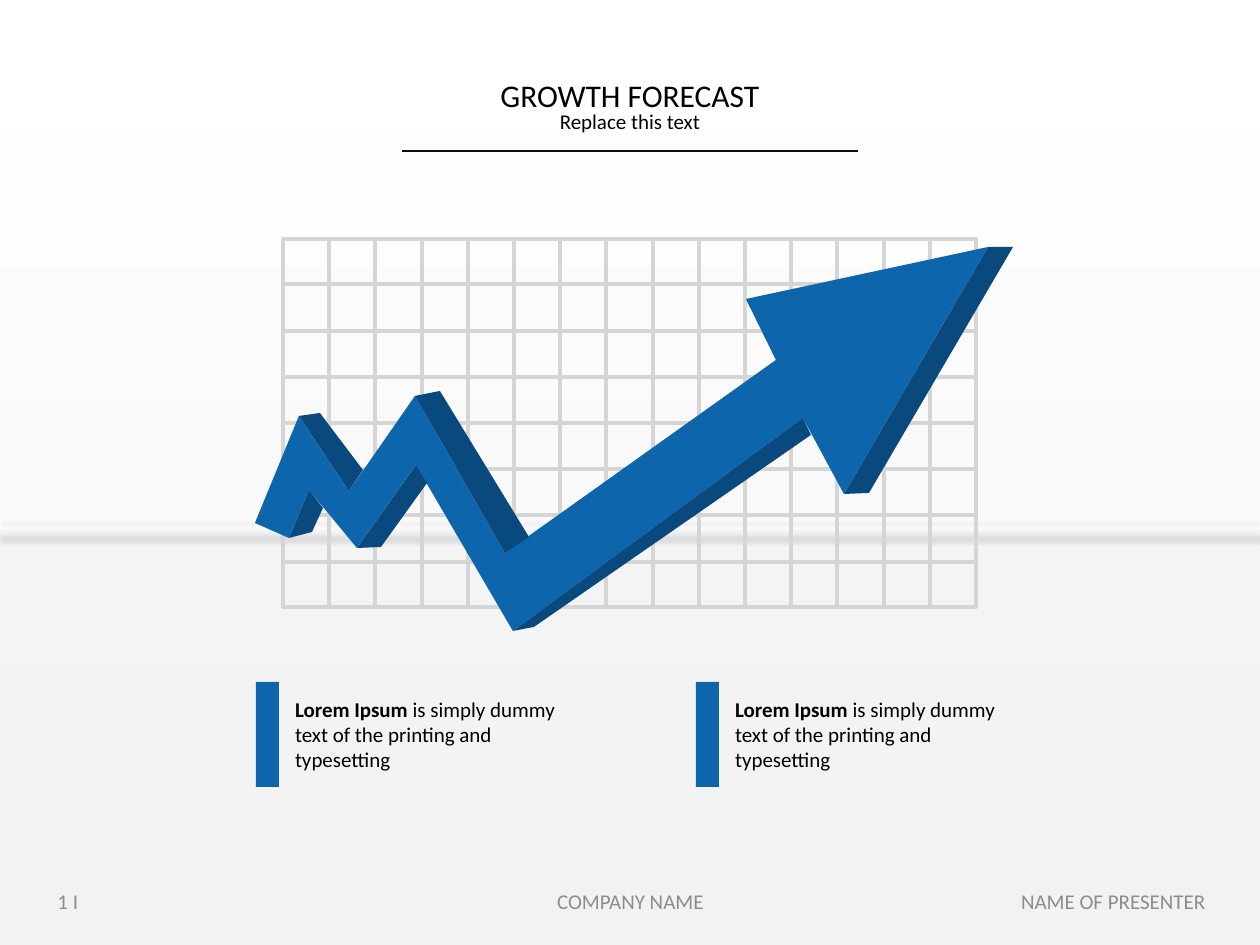
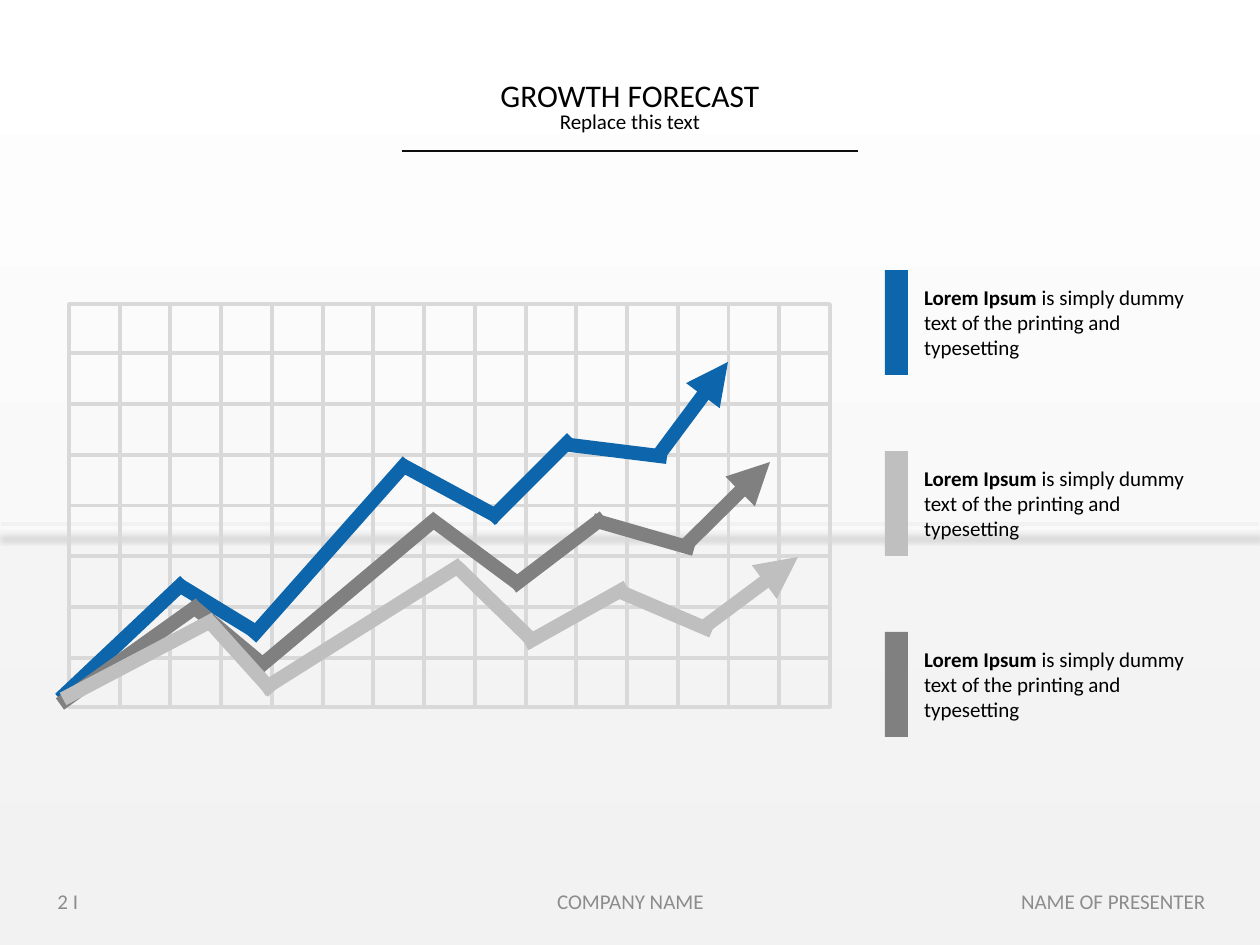
from lxml import etree
from pptx import Presentation
from pptx.dml.color import RGBColor
from pptx.enum.shapes import MSO_CONNECTOR as Connector, MSO_SHAPE as Preset
from pptx.enum.text import MSO_ANCHOR as Anchor, MSO_AUTO_SIZE as AutoSize, PP_ALIGN as Align
from pptx.oxml.ns import qn
from pptx.util import Emu, Pt

SCALE = 914400 / 126  # EMU in one px
SLIDE_WIDTH, SLIDE_HEIGHT = 1260, 945
FONT = "Calibri"
COLORS = {
    "white": "FFFFFF",
    "floor": "F2F2F2",
    "text": "000000",
    "rule": "0D0D0D",
    "footer": "8C8C8C",
    "grid_dark": "D5D5D5",
    "grid_light": "D9D9D9",
    "blue": "0D65AC",
    "navy": "09497D",
    "silver": "BFBFBF",
    "gray": "808080",
}
GRID_COLUMNS, GRID_ROWS = 15, 8

# Front of the zigzag arrow, in px from the corner of its box
ARROW_FACE = [
    (0, 276), (44, 169), (94, 244), (160, 149), (250, 306),
    (521, 113), (491, 52), (733, 0), (589, 247), (548, 171),
    (258, 384), (161, 218), (102, 301), (54, 243), (34, 291),
]
# Sides of the arrow: two corners of the face and the two points behind them
ARROW_SIDES = [
    (1, 2, (65, 166), (108, 223)),
    (3, 4, (185, 144), (274, 290)),
    (7, 8, (758, 0), (614, 246)),
    (10, 9, (279, 380), (556, 188)),
    (12, 11, (126, 300), (172, 236)),
    (14, 13, (57, 285), (68, 261)),
]
# Trend strokes (x1, y1, x2, y2), in px from the corner of the grid
TRENDS = {
    "blue": [
        (-9, 395, 116, 277), (110, 281, 192, 331), (182, 334, 339, 157),
        (333, 161, 431, 214), (421, 216, 503, 134), (493, 140, 598, 153),
        (589, 152, 659, 58),
    ],
    "gray": [
        (-9, 400, 131, 300), (125, 303, 198, 364), (188, 365, 369, 213),
        (362, 215, 451, 281), (443, 283, 535, 213), (524, 216, 625, 245),
        (616, 242, 701, 158),
    ],
    "silver": [
        (-6, 395, 146, 315), (140, 317, 204, 388), (193, 386, 393, 260),
        (387, 262, 467, 340), (456, 340, 558, 283), (547, 286, 643, 327),
        (635, 323, 729, 253),
    ],
}


def px(length):
    return Emu(round(length * SCALE))


def rgb(name):
    return RGBColor.from_string(COLORS[name])


def add_xml(parent, tag, **attributes):
    return etree.SubElement(parent, qn(tag), attributes)


def paint(shape, color):
    shape.shadow.inherit = False
    shape.fill.solid()
    shape.fill.fore_color.rgb = rgb(color)
    shape.line.fill.background()


def add_block(shapes, left, top, width, height, color):
    block = shapes.add_shape(Preset.RECTANGLE, px(left), px(top), px(width), px(height))
    paint(block, color)
    return block


def add_line(shapes, start_x, start_y, end_x, end_y, color, points):
    """Draw a straight line and return it with its empty effect list."""
    line = shapes.add_connector(
        Connector.STRAIGHT, px(start_x), px(start_y), px(end_x), px(end_y))
    line.line.color.rgb = rgb(color)
    line.line.width = Pt(points)
    effects = add_xml(line._element.spPr, "a:effectLst")
    return line, effects


def add_polygon(shapes, left, top, points, color):
    builder = shapes.build_freeform(*points[0], scale=SCALE)
    builder.add_line_segments(points[1:], close=True)
    paint(builder.convert_to_shape(px(left), px(top)), color)


def add_text_box(slide, left, top, width, height):
    frame = slide.shapes.add_textbox(px(left), px(top), px(width), px(height)).text_frame
    frame.word_wrap = True
    return frame


def style(paragraph, size, color="text", align=Align.LEFT):
    paragraph.alignment = align
    paragraph.font.name = FONT
    paragraph.font.size = Pt(size)
    paragraph.font.color.rgb = rgb(color)


def set_background(presentation):
    """Fade from white at the top to light gray at the bottom."""
    fill = presentation.slide_master.background.fill
    fill.gradient()
    fill.gradient_angle = 90
    for stop, color, position in zip(fill.gradient_stops, ("floor", "white"), (0.01, 1)):
        stop.color.rgb = rgb(color)
        stop.position = position


def add_floor(slide):
    horizon = 524
    floor = add_block(slide.shapes, 0, horizon + 6, SLIDE_WIDTH,
                      SLIDE_HEIGHT - horizon - 6, "floor")
    fill_color = floor._element.spPr.find(qn("a:solidFill"))[0]
    add_xml(fill_color, "a:alpha", val="49000")

    # Horizon line with a soft shadow below it
    _, effects = add_line(slide.shapes, 1, horizon, SLIDE_WIDTH - 1, horizon, "floor", 2)
    shadow = add_xml(effects, "a:outerShdw", blurRad="39370", dist="101600",
                     dir="5400000", rotWithShape="0")
    shadow_color = add_xml(shadow, "a:srgbClr", val=COLORS["text"])
    add_xml(shadow_color, "a:alpha", val="16000")


def add_title(slide, title, subtitle):
    frame = add_text_box(slide, 428, 77, 404, 63)
    frame.auto_size = AutoSize.SHAPE_TO_FIT_TEXT
    frame.text = f"{title}\n{subtitle}"
    for paragraph, size in zip(frame.paragraphs, (18, 12)):
        style(paragraph, size, align=Align.CENTER)
        paragraph.line_spacing = 0.8
    add_line(slide.shapes, 402, 151, 858, 151, "rule", 1)


def add_footer(slide, number):
    parts = [
        (45, 294, f"{number} I", Align.LEFT),
        (431, 399, "COMPANY NAME", Align.CENTER),
        (924, 294, "NAME OF PRESENTER", Align.RIGHT),
    ]
    for left, width, text, align in parts:
        frame = add_text_box(slide, left, 876, width, 50)
        frame.vertical_anchor = Anchor.MIDDLE
        frame.text = text
        style(frame.paragraphs[0], 12, "footer", align)


def add_grid(slide, left, top, width, height, color):
    shapes = slide.shapes.add_group_shape().shapes
    border = add_block(shapes, left, top, width, height, "white")
    border.fill.background()
    border.line.color.rgb = rgb(color)
    border.line.width = Pt(2)

    # Square cells, with the rows centred in the border
    cell = width / GRID_COLUMNS
    first_row = top + (height - GRID_ROWS * cell) / 2
    for column in range(1, GRID_COLUMNS):
        x = left + column * cell
        add_line(shapes, x, top, x, top + height, color, 2.25)
    for row in range(1, GRID_ROWS):
        y = first_row + row * cell
        add_line(shapes, left, y, left + width, y, color, 2.25)


def add_zigzag_arrow(slide, left, top):
    shapes = slide.shapes.add_group_shape().shapes
    add_polygon(shapes, left, top, ARROW_FACE, "blue")
    for first, last, behind_first, behind_last in ARROW_SIDES:
        side = [ARROW_FACE[first], behind_first, behind_last, ARROW_FACE[last]]
        add_polygon(shapes, left, top, side, "navy")


def add_trend(slide, left, top, strokes, color):
    shapes = slide.shapes.add_group_shape().shapes
    for start_x, start_y, end_x, end_y in strokes:
        line, _ = add_line(shapes, left + start_x, top + start_y,
                           left + end_x, top + end_y, color, 8)
    # Only the last stroke carries the arrowhead
    add_xml(line.line._get_or_add_ln(), "a:tailEnd", type="triangle")


def add_note(slide, left, top, color):
    add_block(slide.shapes, left, top, 23, 105, color)
    frame = add_text_box(slide, left + 39, top + 8, 281, 90)
    frame.auto_size = AutoSize.SHAPE_TO_FIT_TEXT
    frame.margin_left = frame.margin_right = 0
    paragraph = frame.paragraphs[0]
    style(paragraph, 12)
    paragraph.space_after = Pt(6)
    lead = paragraph.add_run()
    lead.text = "Lorem Ipsum"
    lead.font.bold = True
    paragraph.add_run().text = " is simply dummy text of the printing and typesetting"


def add_base_slide(presentation, number):
    slide = presentation.slides.add_slide(presentation.slide_layouts[6])
    add_floor(slide)
    add_title(slide, "GROWTH FORECAST", "Replace this text")
    add_footer(slide, number)
    return slide


def build_arrow_slide(presentation):
    slide = add_base_slide(presentation, 1)
    add_grid(slide, 283, 239, 693, 368, "grid_dark")
    add_zigzag_arrow(slide, 255, 247)
    for left in (256, 696):
        add_note(slide, left, 682, "blue")


def build_trend_slide(presentation):
    slide = add_base_slide(presentation, 2)
    left, top = 69, 304
    add_grid(slide, left, top, 761, 403, "grid_light")
    for row, color in enumerate(("blue", "silver", "gray")):
        add_note(slide, 885, 270 + row * 181, color)
    for color, strokes in TRENDS.items():
        add_trend(slide, left, top, strokes, color)


def main():
    presentation = Presentation()
    presentation.slide_width = px(SLIDE_WIDTH)
    presentation.slide_height = px(SLIDE_HEIGHT)
    set_background(presentation)
    build_arrow_slide(presentation)
    build_trend_slide(presentation)
    presentation.save("out.pptx")


if __name__ == "__main__":
    main()
